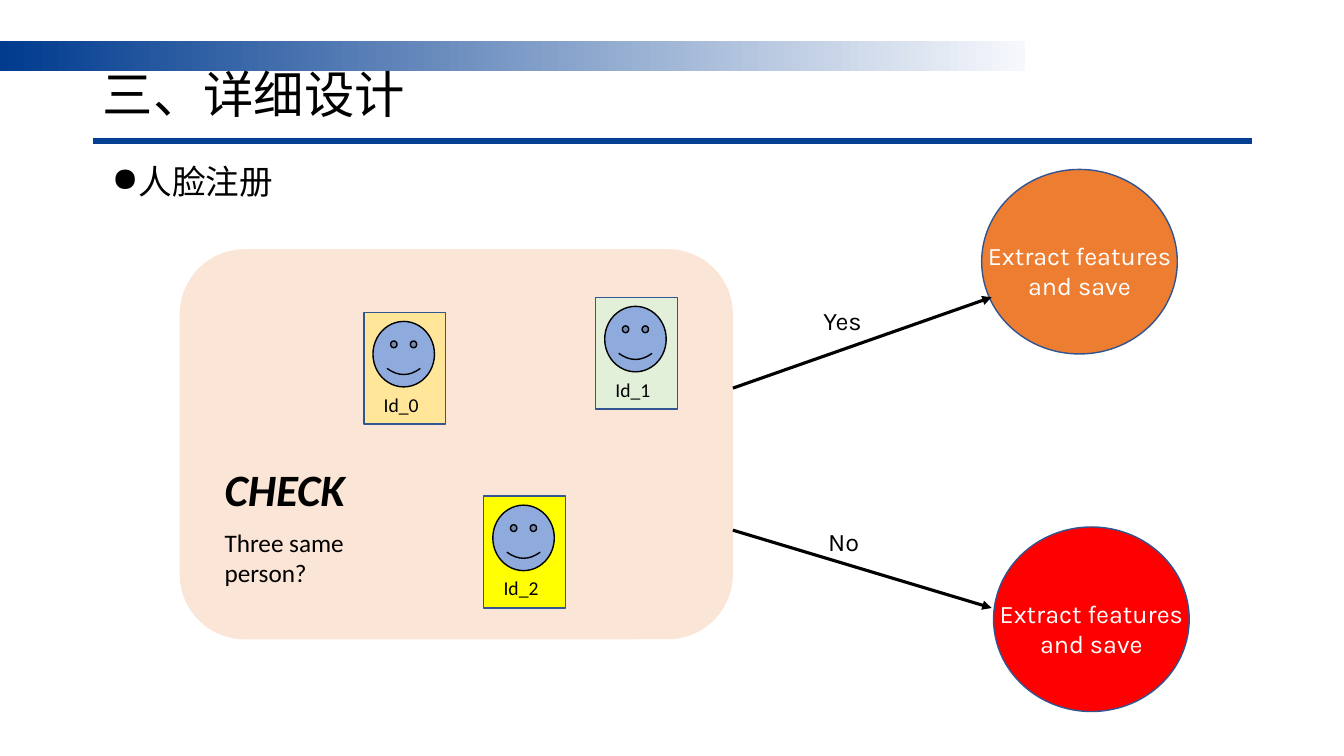
from lxml import etree
from pptx import Presentation
from pptx.dml.color import RGBColor
from pptx.enum import shapes, text
from pptx.oxml import ns
from pptx.util import Cm, Pt

COLORS = {
    "ink": "000000", "white": "FFFFFF", "navy": "003B8F", "pale": "F6F8FC",
    "rule": "053F91", "panel": "FBE5D6", "outline": "325491", "face": "8FAADC",
    "gold": "FFE699", "yellow": "FFFF00", "green": "E2F0D9",
    "orange": "ED7D31", "red": "FF0000",
}
TITLE = "三、详细设计"
TOPIC = "人脸注册"

# All positions and sizes are in centimetres.
CARD_SIZE = (2.06, 2.82)
CARDS = [
    ("Id_0", "gold", 9.17, 7.87),
    ("Id_2", "yellow", 12.19, 12.5),
    ("Id_1", "green", 15.01, 7.49),
]
RESULT_SIZE = (4.93, 4.65)
RESULTS = [
    ("Extract features and save", "orange", 24.74, 4.27),
    ("Extract features and save", "red", 25.04, 13.28),
]
BRANCHES = [
    ("Yes", (20.5, 7.57), (18.47, 9.78), (24.99, 7.49)),
    ("No", (20.62, 13.13), (18.47, 13.36), (24.99, 15.32)),
]


def color(name):
    return RGBColor.from_string(COLORS[name])


def add_figure(parent, kind, area, fill, line=None):
    figure = parent.shapes.add_shape(kind, *map(Cm, area))
    figure.shadow.inherit = False
    figure.fill.solid()
    figure.fill.fore_color.rgb = color(fill)
    if line:
        figure.line.color.rgb = color(line)
        figure.line.width = Pt(1)
    else:
        figure.line.fill.background()
    return figure


def add_label(parent, words, area, size, font="Calibri", ink="ink",
              align=text.PP_ALIGN.LEFT, strong=False):
    """Add one wrapped paragraph and return its box; strong is bold italic."""
    box = parent.shapes.add_textbox(*map(Cm, area))
    box.text_frame.word_wrap = True
    para = box.text_frame.paragraphs[0]
    para.alignment = align
    span = para.add_run()
    span.text = words
    span.font.name = font
    span.font.size = Pt(size)
    span.font.color.rgb = color(ink)
    span.font.bold = span.font.italic = strong
    return box


def add_line(page, start, end, ink, width, arrow=False):
    line = page.shapes.add_connector(
        shapes.MSO_CONNECTOR.STRAIGHT, *map(Cm, start + end))
    line.line.color.rgb = color(ink)
    line.line.width = Pt(width)
    if arrow:
        etree.SubElement(line.line._get_or_add_ln(), ns.qn("a:tailEnd"), type="triangle")
    etree.SubElement(line._element.spPr, ns.qn("a:effectLst"))


def add_header(page):
    band = add_figure(page, shapes.MSO_SHAPE.RECTANGLE, (0, 1.04, 25.83, 0.74), "navy")
    band.fill.gradient()
    band.fill.gradient_angle = 0
    for stop, name, position in zip(band.fill.gradient_stops, ("navy", "pale"), (0, 1)):
        stop.color.rgb = color(name)
        stop.position = position
    add_line(page, (2.34, 3.56), (31.55, 3.56), "rule", 4.5)

    title = add_label(page, TITLE, (2.34, 1.75, 17.63, 1.4), 36, "Vollkorn")
    title.text_frame.vertical_anchor = text.MSO_ANCHOR.MIDDLE
    title.text_frame.paragraphs[0].line_spacing = 0.9

    topic = add_label(page, TOPIC, (2.57, 4.04, 28.98, 12.5), 24, "Karla")
    para = topic.text_frame.paragraphs[0]
    para.line_spacing = 0.9
    para.space_before = Pt(10)
    layout = para._p.get_or_add_pPr()
    layout.set("marL", str(Cm(0.64)))
    layout.set("indent", str(-Cm(0.64)))
    etree.SubElement(layout, ns.qn("a:buChar"), char="●")


def add_card(page, name, fill, left, top):
    card = page.shapes.add_group_shape()
    add_figure(card, shapes.MSO_SHAPE.RECTANGLE, (left, top, *CARD_SIZE), fill, "outline")
    add_figure(card, shapes.MSO_SHAPE.SMILEY_FACE,
               (left + 0.23, top + 0.23, 1.55, 1.65), "face", "ink")
    add_label(card, name, (left + 0.25, top + 1.9, 1.55, 0.86), 14)


def add_result(page, words, fill, left, top):
    result = page.shapes.add_group_shape()
    add_figure(result, shapes.MSO_SHAPE.OVAL, (left, top, *RESULT_SIZE), fill, "outline")
    add_label(result, words, (left - 0.3, top + 1.66, RESULT_SIZE[0] + 0.6, 1.8),
              18, "Karla", "white", text.PP_ALIGN.CENTER)


def main():
    deck = Presentation()
    deck.slide_width, deck.slide_height = Cm(33.87), Cm(19.05)
    page = deck.slides.add_slide(deck.slide_layouts[6])

    add_header(page)
    add_figure(page, shapes.MSO_SHAPE.ROUNDED_RECTANGLE, (4.53, 6.28, 13.94, 9.83), "panel")
    for card in CARDS:
        add_card(page, *card)
    add_label(page, "CHECK", (5.41, 11.51, 5.08, 1.63), 32, strong=True)
    add_label(page, "Three same person?", (5.41, 13.16, 4.22, 1.8), 18)

    for result in RESULTS:
        add_result(page, *result)
    for answer, corner, start, end in BRANCHES:
        add_line(page, start, end, "ink", 2.25, arrow=True)
        add_label(page, answer, (*corner, 2.57, 1.02), 18, "Karla")
    deck.save("out.pptx")


if __name__ == "__main__":
    main()
